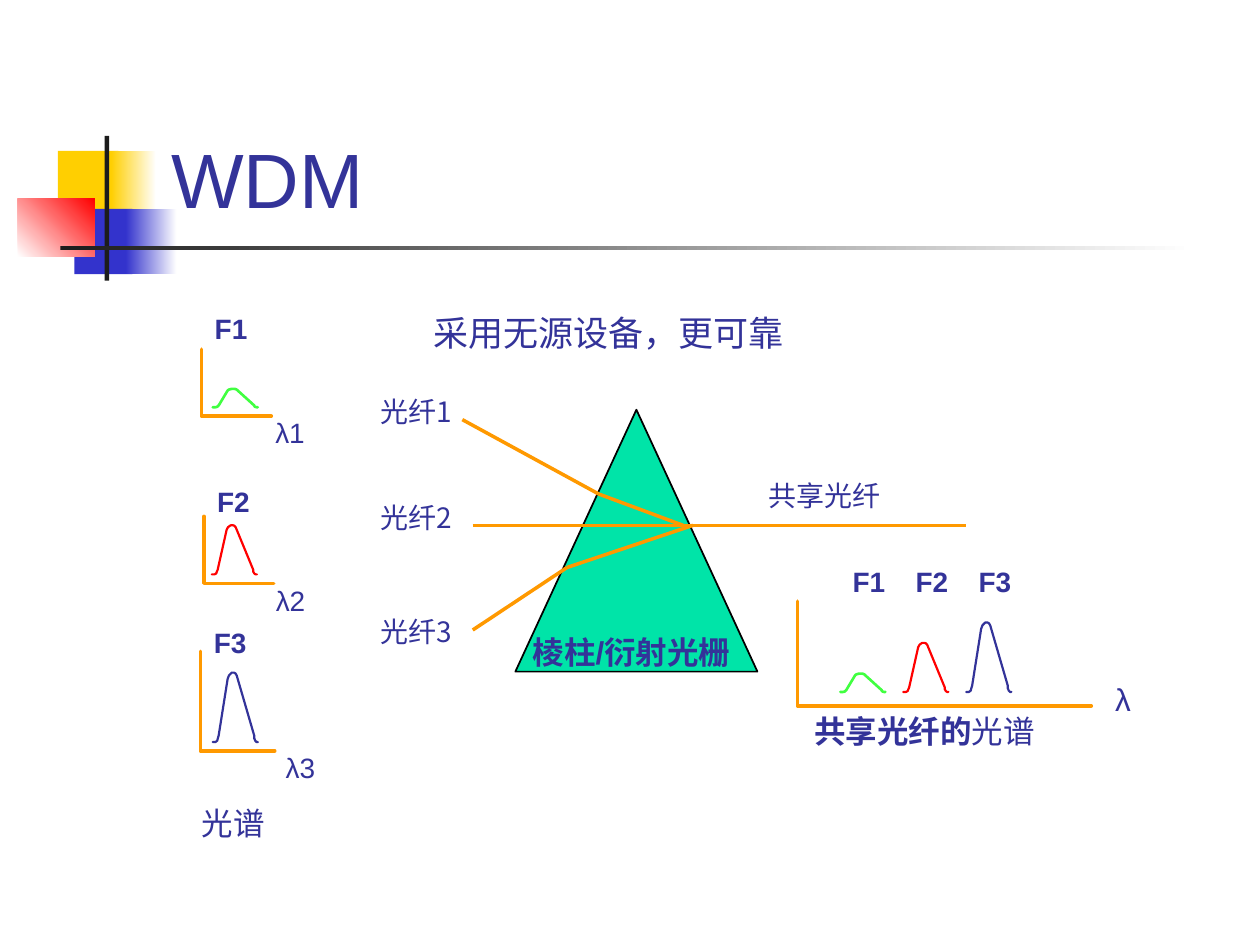
from itertools import pairwise

from lxml import etree
from pptx import Presentation
from pptx.dml.color import RGBColor
from pptx.enum.shapes import MSO_CONNECTOR, MSO_SHAPE
from pptx.enum.text import MSO_ANCHOR, PP_ALIGN
from pptx.oxml.ns import qn
from pptx.util import Cm, Pt

RECT = MSO_SHAPE.RECTANGLE
PRISM = MSO_SHAPE.ISOSCELES_TRIANGLE
LINE = MSO_CONNECTOR.STRAIGHT
LEFT, CENTER = PP_ALIGN.LEFT, PP_ALIGN.CENTER
TOP, BOTTOM = MSO_ANCHOR.TOP, MSO_ANCHOR.BOTTOM

NAVY = RGBColor(0x33, 0x33, 0x99)
ORANGE = RGBColor(0xFF, 0x99, 0x00)
GREEN = RGBColor(0x40, 0xFF, 0x40)
RED = RGBColor(0xFF, 0x00, 0x00)
YELLOW = RGBColor(0xFF, 0xCF, 0x01)
BLUE = RGBColor(0x33, 0x33, 0xCC)
MINT = RGBColor(0x00, 0xE4, 0xA8)
DARK = RGBColor(0x1C, 0x1C, 0x1C)
BLACK = RGBColor(0, 0, 0)
WHITE = RGBColor(0xFF, 0xFF, 0xFF)

SANS, HAN = "Arial", "Noto Sans CJK SC"

WAVES = [("F1", GREEN, 0.37, 1.5), ("F2", RED, 0.99, 1.25), ("F3", NAVY, 1.4, 1.25)]
PEAK = 0.91
CURVE = [(0, 1), (0.06, 1), (0.1, 0.98), (0.11, 0.95), (0.13, 0.91), (0.33, 0.09),
         (0.36, 0.04), (0.39, 0.02), (0.42, 0), (0.47, 0), (0.5, 0.01), (0.53, 0.04),
         (0.92, 0.91), (0.92, 0.95), (0.93, 0.96), (0.94, 0.98), (0.97, 1), (1, 1)]


def add_text(slide, x, y, w, h, runs, size=16, font=SANS, bold=False,
             align=LEFT, anchor=TOP, wrap=True):
    frame = slide.shapes.add_textbox(Cm(x), Cm(y), Cm(w), Cm(h)).text_frame
    frame.word_wrap = wrap
    frame.vertical_anchor = anchor
    para = frame.paragraphs[0]
    para.alignment = align
    style = para.font
    style.size, style.name, style.bold = Pt(size), font, bold
    style.color.rgb = NAVY
    props = para._p.pPr.find(qn("a:defRPr"))
    etree.SubElement(props, qn("a:ea")).set("typeface", HAN)
    for part in runs if isinstance(runs, list) else [runs]:
        para.add_run().text = part
    return para


def add_rect(slide, x, y, w, h, tint, fade=None, angle=0):
    rect = slide.shapes.add_shape(RECT, Cm(x), Cm(y), Cm(w), Cm(h))
    rect.shadow.inherit = False
    rect.line.fill.background()
    if fade is None:
        rect.fill.solid()
        rect.fill.fore_color.rgb = tint
        return
    rect.fill.gradient()
    rect.fill.gradient_angle = angle
    for stop, shade in zip(rect.fill.gradient_stops, (tint, fade)):
        stop.color.rgb = shade


def add_trace(slide, points, tint, width):
    spots = [(Cm(x), Cm(y)) for x, y in points]
    build = slide.shapes.build_freeform(*spots[0])
    build.add_line_segments(spots[1:], close=False)
    trace = build.convert_to_shape()
    trace.shadow.inherit = False
    trace.fill.background()
    trace.line.color.rgb = tint
    trace.line.width = Pt(width)
    ln = trace.line._get_or_add_ln()
    ln.set("cap", "rnd")
    etree.SubElement(ln, qn("a:round"))


def add_axes(slide, x, y, w, h):
    add_trace(slide, [(x, y), (x, y + h), (x + w, y + h)], ORANGE, 2)


def add_peak(slide, x, base, wave):
    _, tint, high, width = wave
    points = [(x + PEAK * u, base - high * (1 - v)) for u, v in CURVE]
    add_trace(slide, points, tint, width)


def add_tag(slide, x, y, wave):
    add_text(slide, x, y, 1.17, 0.94, wave[0], bold=True, wrap=False)


def add_ray(slide, x, y, points):
    for (x1, y1), (x2, y2) in pairwise(points):
        ray = slide.shapes.add_connector(LINE, Cm(x + x1), Cm(y + y1), Cm(x + x2), Cm(y + y2))
        ray.line.color.rgb = ORANGE
        ray.line.width = Pt(2)
        etree.SubElement(ray._element.spPr, qn("a:effectLst"))


def draw_motif(slide, x, y):
    for dx, dy, w, h, *fill in [
        (0.81, 0.3, 1.22, 1.32, YELLOW),
        (1.88, 0.3, 0.91, 1.32, YELLOW, WHITE),
        (1.14, 1.47, 1.17, 1.32, BLUE),
        (2.18, 1.47, 1.02, 1.32, BLUE, WHITE),
        (0, 1.27, 1.55, 1.17, WHITE, RED, 45),
        (1.75, 0, 0.09, 2.92, DARK),
        (0.86, 2.21, 22.86, 0.09, DARK, WHITE),
    ]:
        add_rect(slide, x + dx, y + dy, w, h, *fill)


def draw_source(slide, x, y, w, h, wave, shift, rise, reach):
    add_axes(slide, x, y, w, h)
    add_peak(slide, x + shift, y + h - 0.18, wave)
    add_tag(slide, x + 0.02, y - rise, wave)
    add_text(slide, x + reach, y + h - 0.13, 1.27, 0.94, wave[0].replace("F", "λ"))


def draw_prism(slide, x, y, w, h):
    prism = slide.shapes.add_shape(PRISM, Cm(x), Cm(y), Cm(w), Cm(h))
    prism.shadow.inherit = False
    prism.fill.solid()
    prism.fill.fore_color.rgb = MINT
    prism.line.color.rgb = BLACK
    prism.line.width = Pt(1)
    mid = 2.33
    for points in [
        [(-1.07, 0.2), (1.68, 1.7), (3.38, mid)],
        [(-0.86, mid), (1.47, mid), (3.38, mid)],
        [(-0.86, 4.44), (1.04, 3.18), (3.58, mid)],
        [(3.38, mid), (9.09, mid)],
    ]:
        add_ray(slide, x, y, points)
    for num, dy in enumerate((-0.43, 1.7, 4.01), 1):
        add_text(slide, x - 2.97, y + dy, 2.12, 0.94, f"光纤{num}", font=HAN)
    add_text(slide, x + 4.85, y + 1.27, 3.18, 0.94, "共享光纤")
    add_text(slide, x + 0.1, y + 4.37, 5.51, 1.02, "棱柱/衍射光栅", 18, bold=True)


def draw_shared(slide, x, y, w, h):
    add_axes(slide, x, y, w, h)
    for num, wave in enumerate(WAVES):
        left = x + 0.86 + 1.27 * num
        add_peak(slide, left, y + h - 0.28, wave)
        add_tag(slide, left, y - 0.86, wave)
    para = add_text(slide, x - 0.2, y + h, 5.51, 1.02, ["共享光纤的", "光谱"], 18, align=CENTER)
    para.runs[0].font.bold = True
    add_text(slide, x + w + 0.23, y + 1.47, 1.27, 1.02, "λ", 18)


def main():
    deck = Presentation()
    deck.slide_width, deck.slide_height = Cm(25.4), Cm(19.05)
    slide = deck.slides.add_slide(deck.slide_layouts[6])
    draw_motif(slide, 0.36, 2.74)
    add_text(slide, 3.2, 0.58, 21.64, 4.06, "WDM", 44, anchor=BOTTOM)
    add_text(slide, 8.48, 6.15, 10.36, 1.12, "采用无源设备，更可靠", 20)
    for wave, box in zip(WAVES, [
        (4.06, 7.04, 1.41, 1.35, 0.23, 0.89, 1.24),
        (4.11, 10.41, 1.41, 1.35, 0.16, 0.76, 1.2),
        (4.04, 13.13, 1.5, 2.01, 0.25, 0.64, 1.47),
    ]):
        draw_source(slide, *box[:4], wave, *box[4:])
    add_text(slide, 3.81, 16.08, 1.78, 1.02, "光谱", 18, HAN, align=CENTER, wrap=False)
    draw_prism(slide, 10.39, 8.26, 4.88, 5.28)
    draw_shared(slide, 16.08, 12.12, 5.92, 2.11)
    deck.save("out.pptx")


if __name__ == "__main__":
    main()
